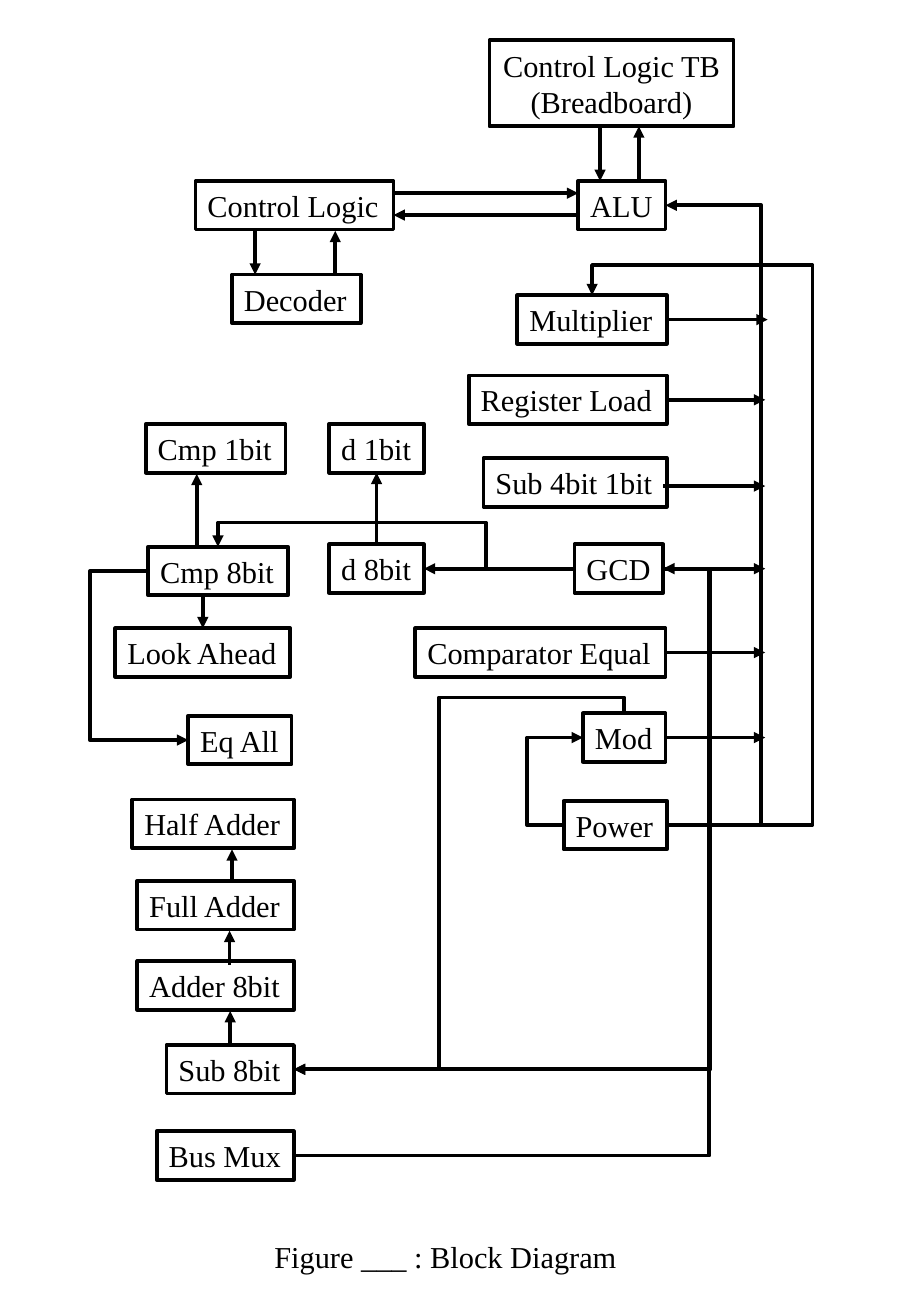
from dataclasses import dataclass

from lxml import etree
from pptx import Presentation
from pptx.dml.color import RGBColor
from pptx.enum.shapes import MSO_CONNECTOR, MSO_SHAPE
from pptx.enum.text import MSO_ANCHOR, MSO_AUTO_SIZE, PP_ALIGN
from pptx.oxml.ns import qn
from pptx.util import Inches, Pt

RECT = MSO_SHAPE.RECTANGLE
STRAIGHT, ELBOW = MSO_CONNECTOR.STRAIGHT, MSO_CONNECTOR.ELBOW
GROW, MIDDLE = MSO_AUTO_SIZE.SHAPE_TO_FIT_TEXT, MSO_ANCHOR.MIDDLE
LEFT_ALIGN, CENTER = PP_ALIGN.LEFT, PP_ALIGN.CENTER
TOP, LEFT, BOTTOM, RIGHT = range(4)
FONT, INK = "Times New Roman", "000000"
ROW_H = 0.4
BUS_X = 6.3


@dataclass
class Block:
    text: str
    x: float
    y: float
    w: float
    h: float = ROW_H


@dataclass
class Arrow:
    x0: float
    y0: float
    x1: float
    y1: float
    begin: tuple | None = None
    end: tuple | None = None


@dataclass
class Elbow:
    begin: tuple
    end: tuple
    turn_x: float
    turn_y: float | None = None
    arrow: str = "tailEnd"


BLOCKS = [
    Block("Control Logic", 1.61, 1.49, 1.63),
    Block("Decoder", 1.91, 2.26, 1.06),
    Block("ALU", 4.76, 1.49, 0.72),
    Block("Control Logic TB\n(Breadboard)", 4.03, 0.33, 2.01, 0.71),
    Block("Multiplier", 4.26, 2.43, 1.23),
    Block("Register Load", 3.86, 3.09, 1.63),
    Block("Sub 4bit 1bit", 3.98, 3.77, 1.51),
    Block("GCD", 4.73, 4.48, 0.73),
    Block("d 8bit", 2.71, 4.48, 0.78),
    Block("d 1bit", 2.71, 3.49, 0.78),
    Block("Cmp 8bit", 1.22, 4.5, 1.15),
    Block("Cmp 1bit", 1.2, 3.49, 1.15),
    Block("Look Ahead", 0.95, 5.17, 1.44),
    Block("Eq All", 1.55, 5.89, 0.85),
    Block("Sub 8bit", 1.37, 8.6, 1.05),
    Block("Adder 8bit", 1.13, 7.91, 1.29),
    Block("Full Adder", 1.13, 7.25, 1.29),
    Block("Half Adder", 1.09, 6.58, 1.33),
    Block("Bus Mux", 1.29, 9.31, 1.13),
    Block("Mod", 4.8, 5.87, 0.68),
    Block("Power", 4.64, 6.59, 0.85),
    Block("Comparator Equal", 3.42, 5.17, 2.06),
]

ARROWS = [
    Arrow(2.1, 1.9, 2.1, 2.26),
    Arrow(2.76, 2.26, 2.76, 1.9),
    Arrow(3.24, 1.59, 4.76, 1.59),
    Arrow(4.76, 1.77, 3.24, 1.77),
    Arrow(4.94, 1.04, 4.94, 1.49),
    Arrow(5.26, 1.49, 5.26, 1.04),
    Arrow(5.48, 2.63, 6.32, 2.63, ("Multiplier", RIGHT)),
    Arrow(5.46, 4, BUS_X, 4),
    Arrow(4.73, 4.67, 3.49, 4.67, ("GCD", LEFT), ("d 8bit", RIGHT)),
    Arrow(3.1, 4.48, 3.1, 3.9, ("d 8bit", TOP), ("d 1bit", BOTTOM)),
    Arrow(1.62, 4.5, 1.62, 3.9),
    Arrow(1.67, 4.9, 1.67, 5.17, end=("Look Ahead", TOP)),
    Arrow(1.89, 8.6, 1.89, 8.32, ("Sub 8bit", TOP)),
    Arrow(1.89, 7.94, 1.89, 7.66),
    Arrow(1.91, 7.24, 1.91, 6.99),
]
BUS_FEEDS = [("Register Load", 3.29), ("GCD", 4.68), ("Comparator Equal", 5.37), ("Mod", 6.07)]
ARROWS += [Arrow(5.46, y, BUS_X, y, (name, RIGHT)) for name, y in BUS_FEEDS]

ELBOWS = [
    Elbow(("Power", RIGHT), ("ALU", RIGHT), 6.28),
    Elbow(("GCD", LEFT), ("Cmp 8bit", TOP), 4, 4.3),
    Elbow(("Cmp 8bit", LEFT), ("Eq All", LEFT), 0.74),
    Elbow(("GCD", RIGHT), ("Sub 8bit", RIGHT), 5.85),
    Elbow(("Bus Mux", RIGHT), ("GCD", RIGHT), 5.84),
    Elbow(("Power", LEFT), ("Mod", LEFT), 4.34),
    Elbow(("Power", RIGHT), ("Multiplier", TOP), 6.69, 2.18),
    Elbow(("Sub 8bit", RIGHT), ("Mod", TOP), 3.61, 5.74, "headEnd"),
]


def rgb(color: str) -> RGBColor:
    return RGBColor.from_string(color)


def set_line(sp) -> None:
    sp.line.color.rgb = rgb(INK)
    sp.line.width = Pt(2.25)


def write(sp, text: str) -> None:
    tf = sp.text_frame
    tf.word_wrap, tf.auto_size, tf.vertical_anchor = False, GROW, MIDDLE
    lines = text.split("\n")
    for i, line in enumerate(lines):
        p = tf.add_paragraph() if i else tf.paragraphs[0]
        p.alignment = CENTER if len(lines) > 1 else LEFT_ALIGN
        r = p.add_run()
        r.text = line
        r.font.name, r.font.size = FONT, Pt(18)
        r.font.color.rgb = rgb(INK)


def add_block(s, b: Block):
    sp = s.shapes.add_shape(RECT, Inches(b.x), Inches(b.y), Inches(b.w), Inches(b.h))
    sp.shadow.inherit = False
    sp.fill.background()
    set_line(sp)
    write(sp, b.text)
    return sp


def finish(con, arrow: str = "tailEnd") -> None:
    set_line(con)
    etree.SubElement(con.get_or_add_ln(), qn(f"a:{arrow}"), type="triangle")
    etree.SubElement(con._element.spPr, qn("a:effectLst"))


def join(con, blocks: dict, begin: tuple | None, end: tuple | None) -> None:
    if begin:
        con.begin_connect(blocks[begin[0]], begin[1])
    if end:
        con.end_connect(blocks[end[0]], end[1])


def add_arrow(s, blocks: dict, a: Arrow) -> None:
    con = s.shapes.add_connector(STRAIGHT, Inches(a.x0), Inches(a.y0), Inches(a.x1), Inches(a.y1))
    join(con, blocks, a.begin, a.end)
    if a.begin and not a.end:  # keep the arrow level or upright
        if a.y0 == a.y1:
            con.end_y = con.begin_y
        else:
            con.end_x = con.begin_x
    finish(con)


def add_elbow(s, blocks: dict, e: Elbow) -> None:
    con = s.shapes.add_connector(ELBOW, 0, 0, 0, 0)
    join(con, blocks, e.begin, e.end)
    # Turning points as shares of the distance between the two ends
    turns = [(Inches(e.turn_x) - con.begin_x) / (con.end_x - con.begin_x)]
    geom = con._element.spPr.find(qn("a:prstGeom"))
    if e.turn_y is not None:
        geom.set("prst", "bentConnector4")
        turns.append((Inches(e.turn_y) - con.begin_y) / (con.end_y - con.begin_y))
    guides = geom.find(qn("a:avLst"))
    for i, turn in enumerate(turns, 1):
        etree.SubElement(guides, qn("a:gd"), name=f"adj{i}", fmla=f"val {round(turn * 100000)}")
    finish(con, e.arrow)


def main() -> None:
    prs = Presentation()
    prs.slide_width, prs.slide_height = Inches(7.5), Inches(10.83)
    s = prs.slides.add_slide(prs.slide_layouts[6])

    # Blocks and the links between them
    blocks = {b.text: add_block(s, b) for b in BLOCKS}
    for a in ARROWS:
        add_arrow(s, blocks, a)
    for e in ELBOWS:
        add_elbow(s, blocks, e)

    # Caption
    caption = s.shapes.add_textbox(Inches(2.16), Inches(10.14), Inches(3.05), Inches(ROW_H))
    write(caption, "Figure ___ : Block Diagram")

    prs.save("out.pptx")


if __name__ == "__main__":
    main()
